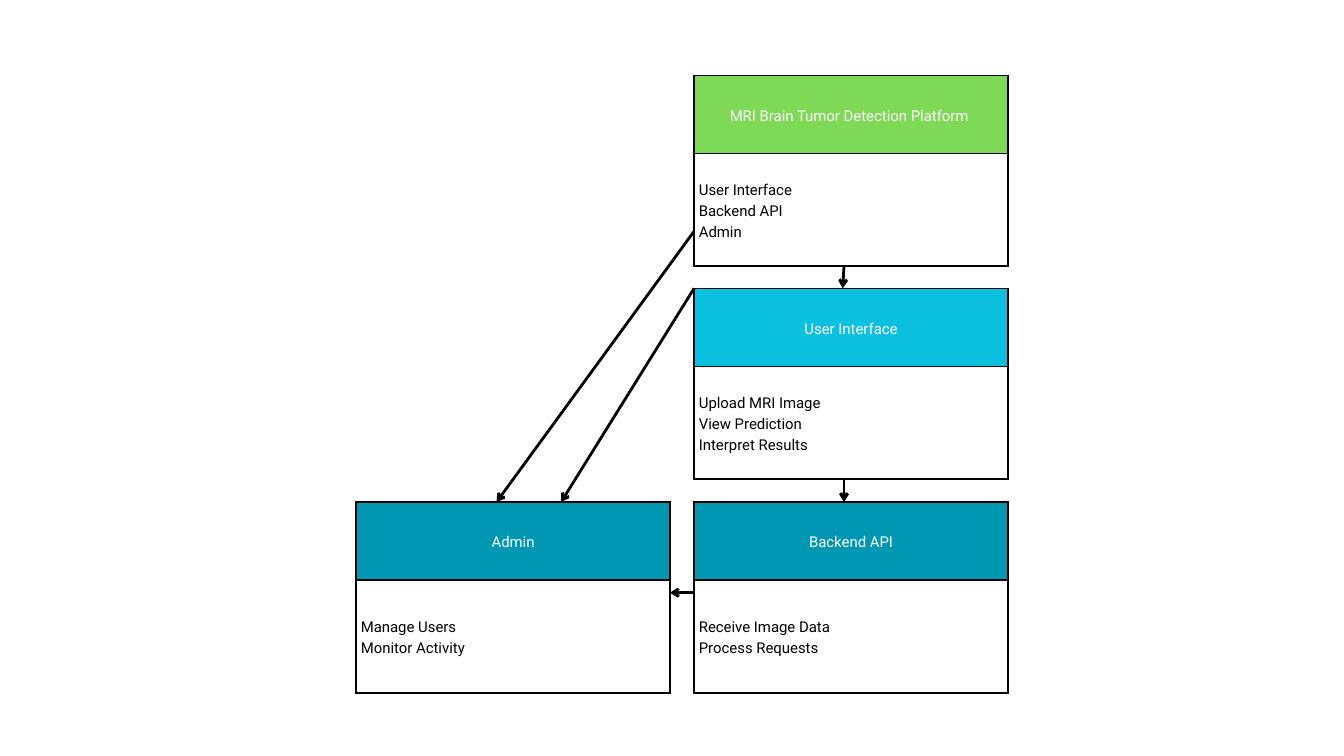
from lxml import etree
from pptx import Presentation
from pptx import util as u
from pptx.dml.color import RGBColor
from pptx.enum import shapes, text
from pptx.oxml.ns import qn

PX = 9144  # EMU per px, 100 px to the inch
COLORS = {
    "line": "000000",
    "body": "000000",
    "heading": "FFFFFF",
    "platform": "7ED957",
    "interface": "0CC0DF",
    "service": "0097B2",
}
BOX_WIDTH, HEADING_HEIGHT, BODY_HEIGHT = 467, 116, 168
BOX_HEIGHT = HEADING_HEIGHT + BODY_HEIGHT
LEFT_COLUMN, RIGHT_COLUMN = 530, 1033
PLATFORM_TOP, INTERFACE_TOP, SERVICE_TOP = 112, 429, 747


def px(length):
    return u.Emu(length * PX)


def color(name):
    return RGBColor.from_string(COLORS[name])


def add_borders(cell):
    properties = cell._tc.get_or_add_tcPr()
    for side in ("lnL", "lnR", "lnT", "lnB"):
        border = etree.SubElement(properties, qn(f"a:{side}"), w=str(u.Pt(1.71)))
        fill = etree.SubElement(border, qn("a:solidFill"))
        etree.SubElement(fill, qn("a:srgbClr"), val=COLORS["line"])


def fill_cell(cell, lines, font_color, alignment):
    cell.vertical_anchor = text.MSO_ANCHOR.MIDDLE
    cell.margin_left = cell.margin_right = px(7)
    cell.margin_top = cell.margin_bottom = px(7)
    add_borders(cell)
    cell.text = "\n".join(lines)
    for paragraph in cell.text_frame.paragraphs:
        paragraph.alignment = alignment
        paragraph.line_spacing = u.Pt(22.4)
        paragraph.font.name = "Roboto"
        paragraph.font.size = u.Pt(16)
        paragraph.font.color.rgb = color(font_color)


def add_component(slide, left, top, heading, items, heading_fill):
    """Add a two-row table: a coloured heading above its list of items."""
    table = slide.shapes.add_table(
        2, 1, px(left), px(top), px(BOX_WIDTH), px(BOX_HEIGHT)).table
    table.first_row = table.horz_banding = False
    table.rows[0].height = px(HEADING_HEIGHT)
    table.rows[1].height = px(BODY_HEIGHT)
    heading_cell, body_cell = table.cell(0, 0), table.cell(1, 0)
    fill_cell(heading_cell, [heading], "heading", text.PP_ALIGN.CENTER)
    heading_cell.fill.solid()
    heading_cell.fill.fore_color.rgb = color(heading_fill)
    fill_cell(body_cell, items, "body", text.PP_ALIGN.LEFT)
    body_cell.fill.background()


def add_arrow(slide, start, end):
    connector = slide.shapes.add_connector(
        shapes.MSO_CONNECTOR.STRAIGHT, *(px(value) for value in start + end))
    connector.line.width = u.Pt(3)
    connector.line.color.rgb = color("line")
    etree.SubElement(connector.line._get_or_add_ln(), qn("a:tailEnd"), type="arrow")
    etree.SubElement(connector._element.spPr, qn("a:effectLst"))


def build_diagram(slide):
    components = [
        (RIGHT_COLUMN, PLATFORM_TOP, "MRI Brain Tumor Detection Platform ",
         ["User Interface", "Backend API", "Admin"], "platform"),
        (RIGHT_COLUMN, INTERFACE_TOP, "User Interface",
         ["Upload MRI Image", "View Prediction", "Interpret Results"], "interface"),
        (RIGHT_COLUMN, SERVICE_TOP, "Backend API",
         ["Receive Image Data", "Process Requests"], "service"),
        (LEFT_COLUMN, SERVICE_TOP, "Admin",
         ["Manage Users", "Monitor Activity"], "service"),
    ]
    for component in components:
        add_component(slide, *component)

    arrows = [
        ((RIGHT_COLUMN, 344), (739, SERVICE_TOP)),
        ((1256, PLATFORM_TOP + BOX_HEIGHT), (1254, INTERFACE_TOP)),
        ((1256, INTERFACE_TOP + BOX_HEIGHT), (1256, SERVICE_TOP)),
        ((RIGHT_COLUMN, 882), (LEFT_COLUMN + BOX_WIDTH, 882)),
        ((RIGHT_COLUMN, INTERFACE_TOP), (835, SERVICE_TOP)),
    ]
    for start, end in arrows:
        add_arrow(slide, start, end)


def main():
    presentation = Presentation()
    presentation.slide_width, presentation.slide_height = px(2000), px(1125)
    slide = presentation.slides.add_slide(presentation.slide_layouts[6])
    build_diagram(slide)
    presentation.save("out.pptx")


if __name__ == "__main__":
    main()
